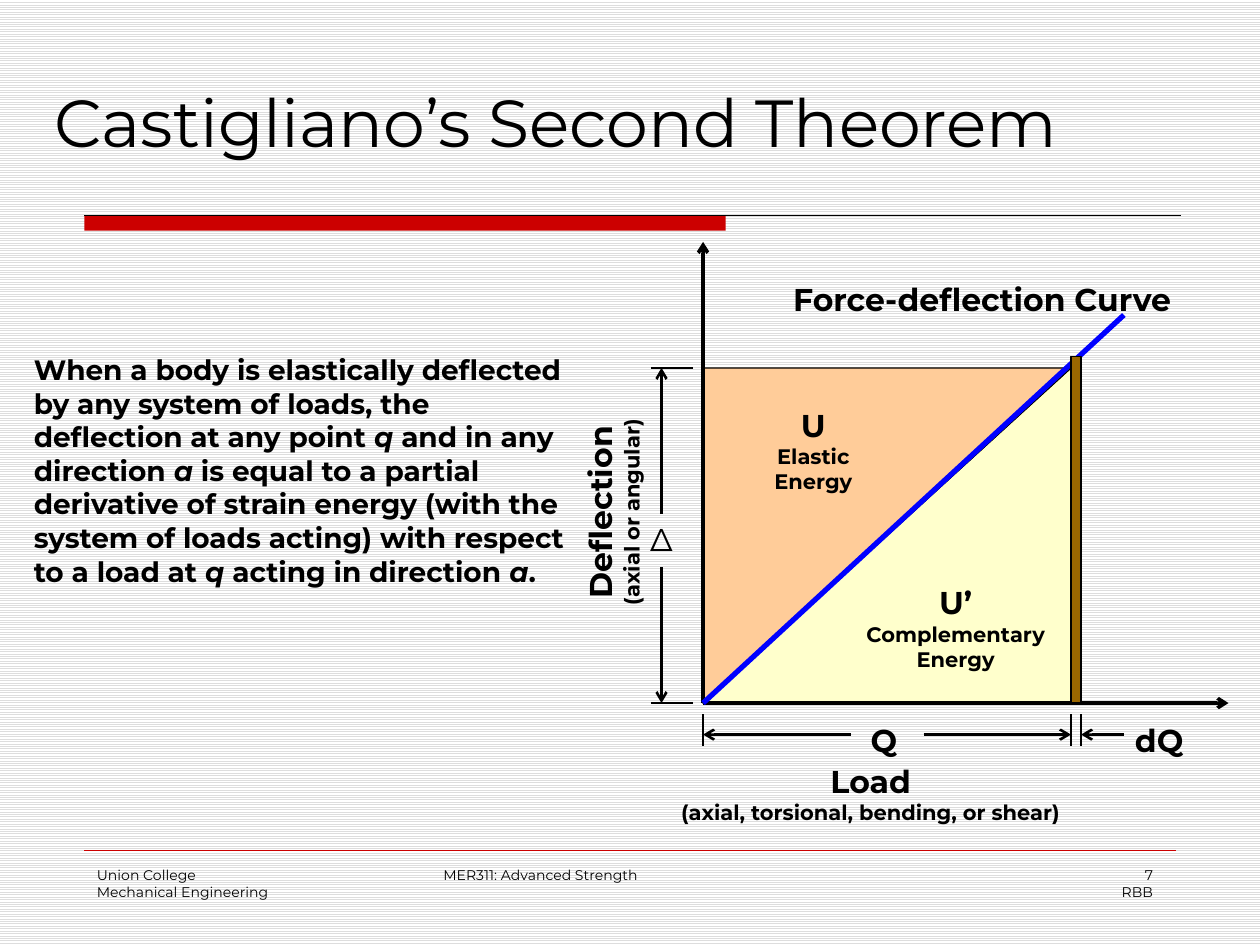
from lxml import etree
from pptx import Presentation
from pptx import util as u
from pptx.dml.color import RGBColor
from pptx.enum import dml, shapes, text
from pptx.oxml.ns import qn

THEME = {
    "font": "Montserrat",
    "ink": "000000", "red": "CC0000", "curve": "0000FF", "strip": "996600",
    "elastic": "FFCC99", "complementary": "FFFFCC",
    "stripe": "DDDDDD", "paper": "FFFFFF",
    "title": 38, "label": 18, "body": 16, "note": 12, "footer": 8,
    "edge": 0.75, "axis": 2, "dim": 1.5, "bold_line": 3, "hair": 0.25,
}

X0, Y0 = 5.58, 5.58
XQ, XDQ, YQ = 8.5, 8.58, 2.92
XDIM, YDIM = 5.25, 5.83

TITLE = "Castigliano’s Second Theorem"
THEOREM = [
    ("When a body is elastically deflected by any system of loads, the "
     "deflection at any point ", False), ("q", True),
    (" and in any direction ", False), ("a", True),
    (" is equal to a partial derivative of strain energy (with the system of "
     "loads acting) with respect to a load at ", False), ("q", True),
    (" acting in direction ", False), ("a", True), (".", False),
]
FOOTERS = [
    ((0.67, 6.83, 2.08, 0.5), ["Union College", "Mechanical Engineering"], "LEFT"),
    ((3.42, 6.83, 3.17, 0.5), ["MER311: Advanced Strength"], "LEFT"),
    ((7.17, 6.83, 2.08, 0.5), ["7", "RBB"], "RIGHT"),
]
LABELS = [
    ((3.98, 3.76, 1.77, 0.61), ["Deflection", "(axial or angular)"],
     {"rot": 270}),
    ((5.2, 6, 3.42, 0.61), ["Load", "(axial, torsional, bending, or shear)"], {}),
    ((6.12, 2.17, 3.35, 0.4), ["Force-deflection Curve"], {}),
    ((5.83, 3.17, 1.25, 0.81), ["U", "Elastic Energy"], {"wrap": True}),
    ((6.75, 4.58, 1.67, 0.81), ["U’", "Complementary Energy"], {"wrap": True}),
    ((6.81, 5.67, 0.41, 0.4), ["Q"], {}),
    ((8.85, 5.67, 0.7, 0.4), ["dQ"], {}),
    ((5.05, 4.08, 0.4, 0.4), ["Δ"], {"bold": False}),
]
REGIONS = [("complementary", 0), ("elastic", 180)]
AXES = [((X0, Y0), (X0, 1.92)), ((X0, Y0), (9.75, Y0))]
TICKS = ([((x, 5.67), (x, 5.92)) for x in (X0, XQ, XDQ)]
         + [((5.5, y), (5.17, y)) for y in (Y0, YQ)])
DIMENSIONS = [
    ((6.75, YDIM), (X0, YDIM)), ((7.33, YDIM), (XQ, YDIM)),
    ((8.92, YDIM), (XDQ, YDIM)),
    ((XDIM, 4.08), (XDIM, YQ)), ((XDIM, 4.5), (XDIM, Y0)),
]


def color(name):
    return RGBColor.from_string(THEME[name])


def inches(values):
    return [u.Inches(v) for v in values]


def style(font, size, **formats):
    formats = {"name": THEME["font"], "size": u.Pt(THEME[size]), **formats}
    for key, value in formats.items():
        setattr(font, key, value)
    font.color.rgb = color("ink")


def add_line(s, start, end, width, ink="ink", arrow=False):
    ln = s.shapes.add_connector(shapes.MSO_CONNECTOR.STRAIGHT,
                                *inches(start + end))
    ln.line.color.rgb = color(ink)
    ln.line.width = u.Pt(THEME[width])
    if arrow:
        etree.SubElement(ln.line._get_or_add_ln(), qn("a:tailEnd"), type="arrow")
    etree.SubElement(ln._element.spPr, qn("a:effectLst"))


def add_area(s, kind, box, fill, edge="ink"):
    sp = s.shapes.add_shape(kind, *inches(box))
    sp.shadow.inherit = False
    sp.fill.solid()
    sp.fill.fore_color.rgb = color(fill)
    if edge:
        sp.line.color.rgb = color(edge)
        sp.line.width = u.Pt(THEME["edge"])
    else:
        sp.line.fill.background()
    return sp


def add_text(s, box, paragraphs, align="LEFT", wrap=True, grow=True, rot=0):
    sp = s.shapes.add_textbox(*inches(box))
    sp.rotation = rot
    tf = sp.text_frame
    tf.word_wrap = wrap
    tf.auto_size = (text.MSO_AUTO_SIZE.SHAPE_TO_FIT_TEXT if grow
                    else text.MSO_AUTO_SIZE.NONE)
    for i, runs in enumerate(paragraphs):
        p = tf.add_paragraph() if i else tf.paragraphs[0]
        p.alignment = getattr(text.PP_ALIGN, align)
        for words, size, formats in runs:
            r = p.add_run()
            r.text = words
            style(r.font, size, **formats)


def add_title(s):
    sp = s.shapes.title
    sp.left, sp.top, sp.width, sp.height = inches((0.33, 0.58, 9.25, 0.75))
    tf = sp.text_frame
    tf.text = TITLE
    tf.word_wrap = True
    tf.auto_size = text.MSO_AUTO_SIZE.NONE
    tf.vertical_anchor = text.MSO_ANCHOR.BOTTOM
    p = tf.paragraphs[0]
    p.alignment = text.PP_ALIGN.LEFT
    style(p.runs[0].font, "title")


def add_frame(s):
    fill = s.background.fill
    fill.patterned()
    fill.pattern = dml.MSO_PATTERN.LIGHT_HORIZONTAL
    fill.fore_color.rgb = color("stripe")
    fill.back_color.rgb = color("paper")
    add_area(s, shapes.MSO_SHAPE.RECTANGLE, (0.67, 1.71, 5.09, 0.12), "red", None)
    add_line(s, (0.67, 1.71), (9.37, 1.71), "edge")
    add_line(s, (0.67, 6.75), (9.33, 6.75), "hair", "red")
    for box, lines, align in FOOTERS:
        add_text(s, box, [[(t, "footer", {})] for t in lines], align, grow=False)


def add_diagram(s):
    for fill, turn in REGIONS:
        sp = add_area(s, shapes.MSO_SHAPE.ISOSCELES_TRIANGLE,
                      (X0, YQ, XQ - X0, Y0 - YQ), fill)
        sp.adjustments[0] = 1
        sp.rotation = turn
    for start, end in AXES:
        add_line(s, start, end, "axis", arrow=True)
    add_line(s, (X0, Y0), (8.92, 2.5), "bold_line", "curve")
    add_area(s, shapes.MSO_SHAPE.RECTANGLE, (XQ, 2.83, XDQ - XQ, Y0 - 2.83), "strip")
    for start, end in TICKS:
        add_line(s, start, end, "dim")
    for start, end in DIMENSIONS:
        add_line(s, start, end, "dim", arrow=True)
    for box, lines, options in LABELS:
        bold = options.get("bold", True)
        paragraphs = [[(t, size, {"bold": bold})]
                      for t, size in zip(lines, ("label", "note"))]
        add_text(s, box, paragraphs, "CENTER", options.get("wrap", False),
                 rot=options.get("rot", 0))


def main():
    prs = Presentation()
    prs.slide_width, prs.slide_height = inches((10, 7.5))
    s = prs.slides.add_slide(prs.slide_layouts[5])
    add_frame(s)
    add_title(s)
    add_diagram(s)
    add_text(s, (0.17, 2.75, 4.42, 2.26),
             [[(t, "body", {"bold": True, "italic": i}) for t, i in THEOREM]])
    prs.save("out.pptx")


if __name__ == "__main__":
    main()
